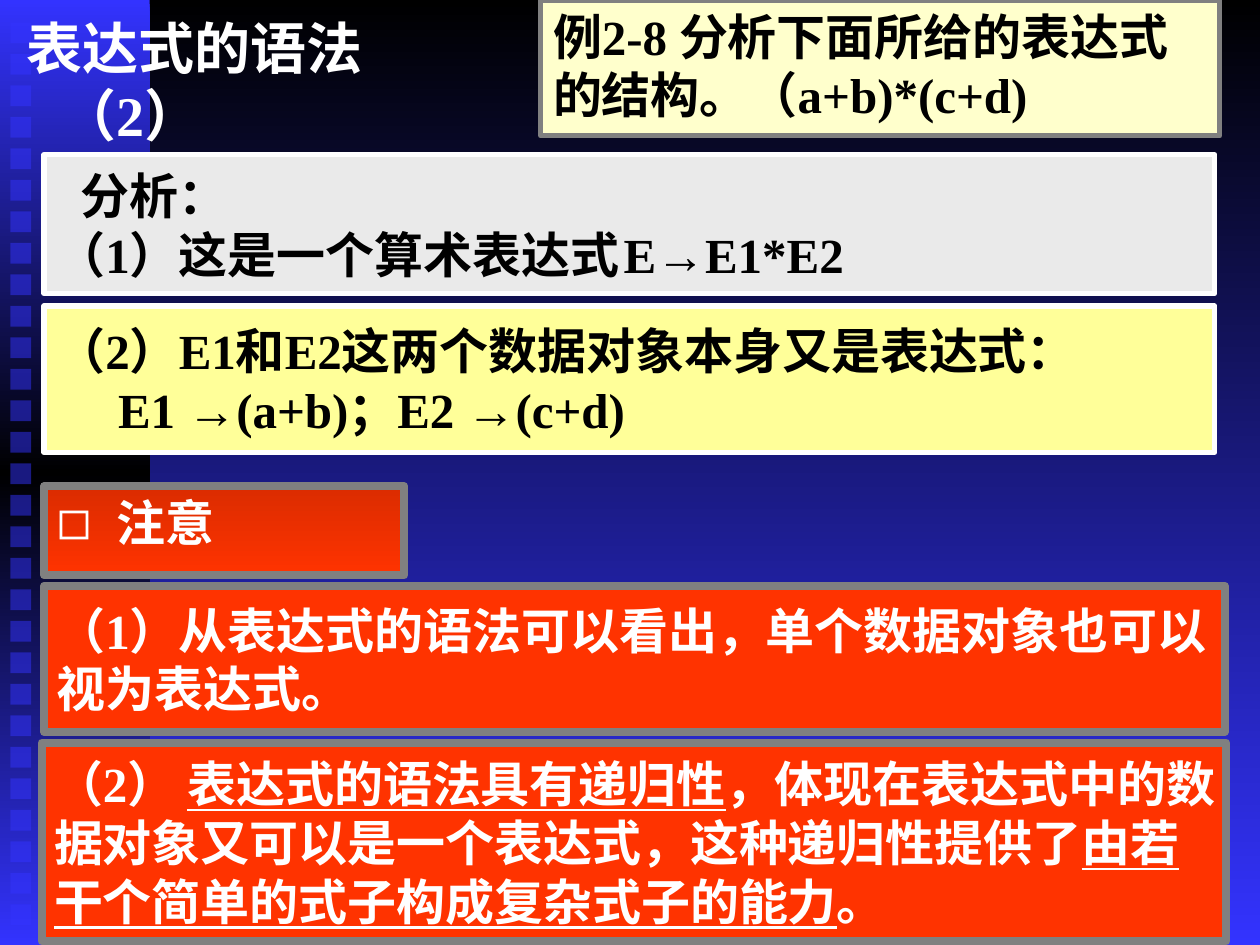
from lxml import etree
from pptx import Presentation
from pptx.dml.color import RGBColor
from pptx.enum import shapes, text
from pptx.oxml import ns
from pptx.util import Cm, Pt


def paint(fill, *colours):
    """Fill solid with one colour, or top to bottom with evenly spaced colours."""
    if len(colours) == 1:
        fill.solid()
        fill.fore_color.rgb = RGBColor.from_string(colours[0])
        return
    fill.gradient()
    fill.gradient_angle = 270
    stops = fill.gradient_stops._gsLst
    stops.clear()
    for i, colour in enumerate(colours):
        position = 100000 * i // (len(colours) - 1)
        stop = etree.SubElement(stops, ns.qn("a:gs"), pos=str(position))
        etree.SubElement(stop, ns.qn("a:srgbClr"), val=colour)


def write(box, lines, colour, size=28, anchor=text.MSO_ANCHOR.TOP):
    """Write lines of (left margin cm, first indent cm, tab cm, runs)."""
    frame = box.text_frame
    frame.word_wrap = True
    frame.auto_size = text.MSO_AUTO_SIZE.NONE
    frame.vertical_anchor = anchor
    for i, (margin, indent, tab, runs) in enumerate(lines):
        line = frame.add_paragraph() if i else frame.paragraphs[0]
        line.alignment = text.PP_ALIGN.LEFT
        line.space_before = Pt(0)
        props = line._p.get_or_add_pPr()
        props.set("marL", str(Cm(margin)))
        props.set("indent", str(Cm(indent)))
        if tab:
            tabs = etree.SubElement(props, ns.qn("a:tabLst"))
            etree.SubElement(tabs, ns.qn("a:tab"), pos=str(Cm(tab)), algn="l")
        for words, underlined in runs:
            run = line.add_run()
            run.text = words
            run.font.name = "Times New Roman"
            run.font.size = Pt(size)
            run.font.bold = True
            run.font.underline = underlined
            run.font.color.rgb = RGBColor.from_string(colour)


prs = Presentation()
prs.slide_width, prs.slide_height = Cm(25.4), Cm(19.05)
slide = prs.slides.add_slide(prs.slide_layouts[1])
paint(slide.background.fill, "000000", "3333FF")

# Side band with a column of translucent squares, behind the placeholders
side = slide.shapes.add_group_shape()
slide.shapes._spTree.insert(2, side._element)
band = side.shapes.add_shape(shapes.MSO_SHAPE.RECTANGLE, 0, 0, Cm(3.02), Cm(19.05))
paint(band.fill, "3333FF", "000000", "3333FF")
band.line.fill.background()
band.shadow.inherit = False
for row in range(29):
    square = side.shapes.add_shape(shapes.MSO_SHAPE.RECTANGLE, Cm(0.21),
                                   Cm(0.45 + 0.635 * row), Cm(0.42), Cm(0.42))
    paint(square.fill, "3333FF")
    tint = square.fill._xPr.find(".//" + ns.qn("a:srgbClr"))
    etree.SubElement(tint, ns.qn("a:alpha"), val="50000")
    square.line.fill.background()
    square.shadow.inherit = False

# Title
title = slide.shapes.title
title.left, title.top, title.width, title.height = Cm(0), Cm(0.15), Cm(10.9), Cm(1.7)
title.text_frame.margin_right = Cm(2.5)
write(title, [(0.97, -0.69, None, [("表达式的语法（2）", False)])], "FFFFFF", size=32)

# Framed boxes: place, fill, frame, frame width, text colour, anchor, lines
TOP, MIDDLE = text.MSO_ANCHOR.TOP, text.MSO_ANCHOR.MIDDLE
boxes = [
    ((0.89, 11.81, 23.8, 2.95), "FF3300", "808080", 4.5, "FFFFFF", MIDDLE, [
        (0, 0, None, [("（1）从表达式的语法可以看出，单个数据对象也可以视为表达式。", False)])]),
    ((0.84, 14.97, 23.88, 4.01), "FF3300", "808080", 4.5, "FFFFFF", MIDDLE, [
        (0, 0, None, [("（2） ", False), ("表达式的语法具有递归性", True),
                      ("，体现在表达式中的数据对象又可以是一个表达式，这种递归性提供了", False),
                      ("由若干个简单的式子构成复杂式子的能力", True), ("。", False)])]),
    ((0.89, 3.12, 23.6, 2.8), "EAEAEA", "FFFFFF", 3, "000000", MIDDLE, [
        (0.49, 0, None, [("分析：", False)]),
        (0, 0, 12.5, [("（1）这是一个算术表达式\tE→E1*E2", False)])]),
    ((0.89, 6.17, 23.6, 2.95), "FFFF99", "FFFFFF", 3, "000000", MIDDLE, [
        (0, 0, None, [("（2）E1和E2这两个数据对象本身又是表达式：", False)]),
        (1.24, 0, None, [("E1 →(a+b)；E2 →(c+d)", False)])]),
    ((10.9, 0, 13.69, 2.74), "FFFFCC", "808080", 3, "000000", TOP, [
        (0, 0, 3.28, [("例2-8\t分析下面所给的表达式的结构。（a+b)*(c+d)", False)])]),
]
for place, fill, frame, weight, colour, anchor, lines in boxes:
    box = slide.shapes.add_shape(shapes.MSO_SHAPE.RECTANGLE, *map(Cm, place))
    box.shadow.inherit = False
    paint(box.fill, fill)
    paint(box.line.fill, frame)
    box.line.width = Pt(weight)
    box.text_frame.margin_right = Cm(0.15)
    write(box, lines, colour, anchor=anchor)

# Bulleted reminder
notice = slide.placeholders[1]
notice.left, notice.top, notice.width, notice.height = map(Cm, (0.89, 9.8, 7.26, 1.8))
paint(notice.fill, "DB2C00", "FF3300")
paint(notice.line.fill, "808080")
notice.line.width = Pt(4.5)
write(notice, [(1.2, -1.2, None, [("注意", False)])], "FFFFFF")
bullet = notice.text_frame.paragraphs[0]._p.get_or_add_pPr()
bullet_colour = etree.SubElement(bullet, ns.qn("a:buClr"))
etree.SubElement(bullet_colour, ns.qn("a:srgbClr"), val="FFFFFF")
etree.SubElement(bullet, ns.qn("a:buSzPct"), val="115000")
etree.SubElement(bullet, ns.qn("a:buChar"), char="◻")

prs.save("out.pptx")
